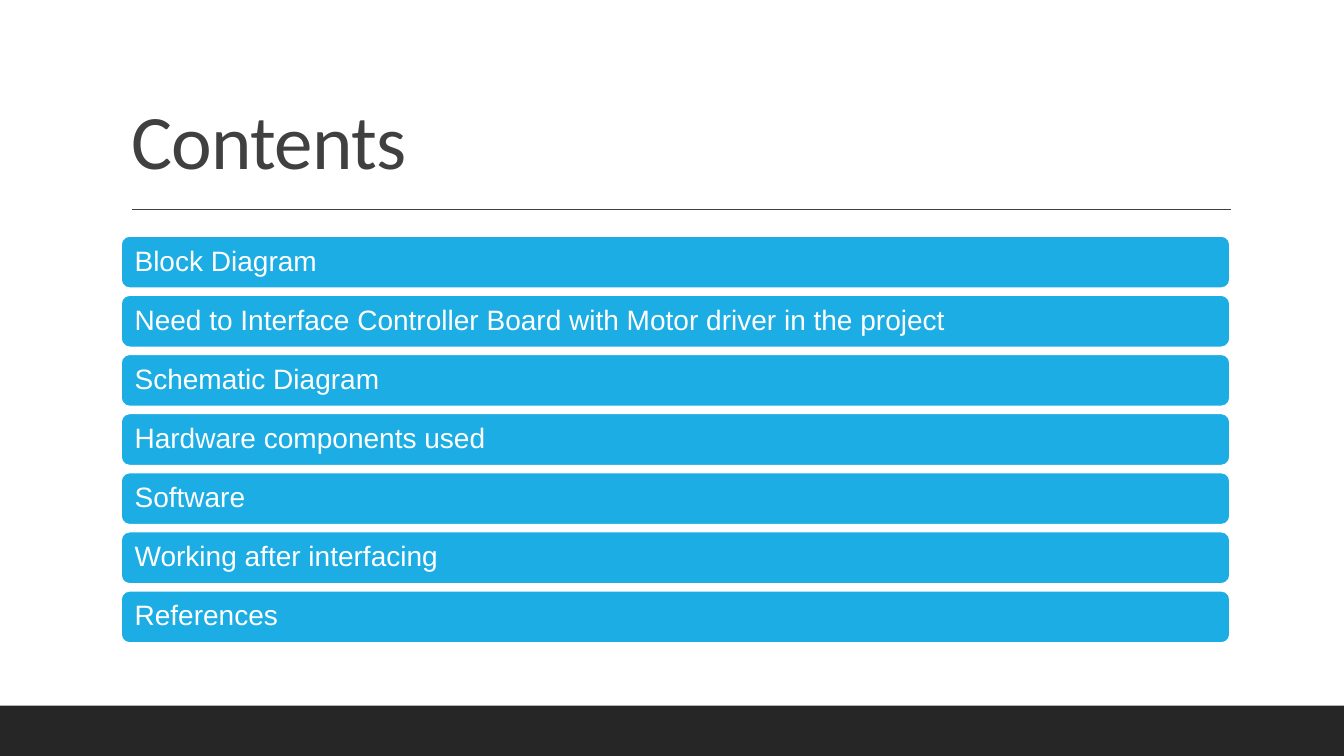
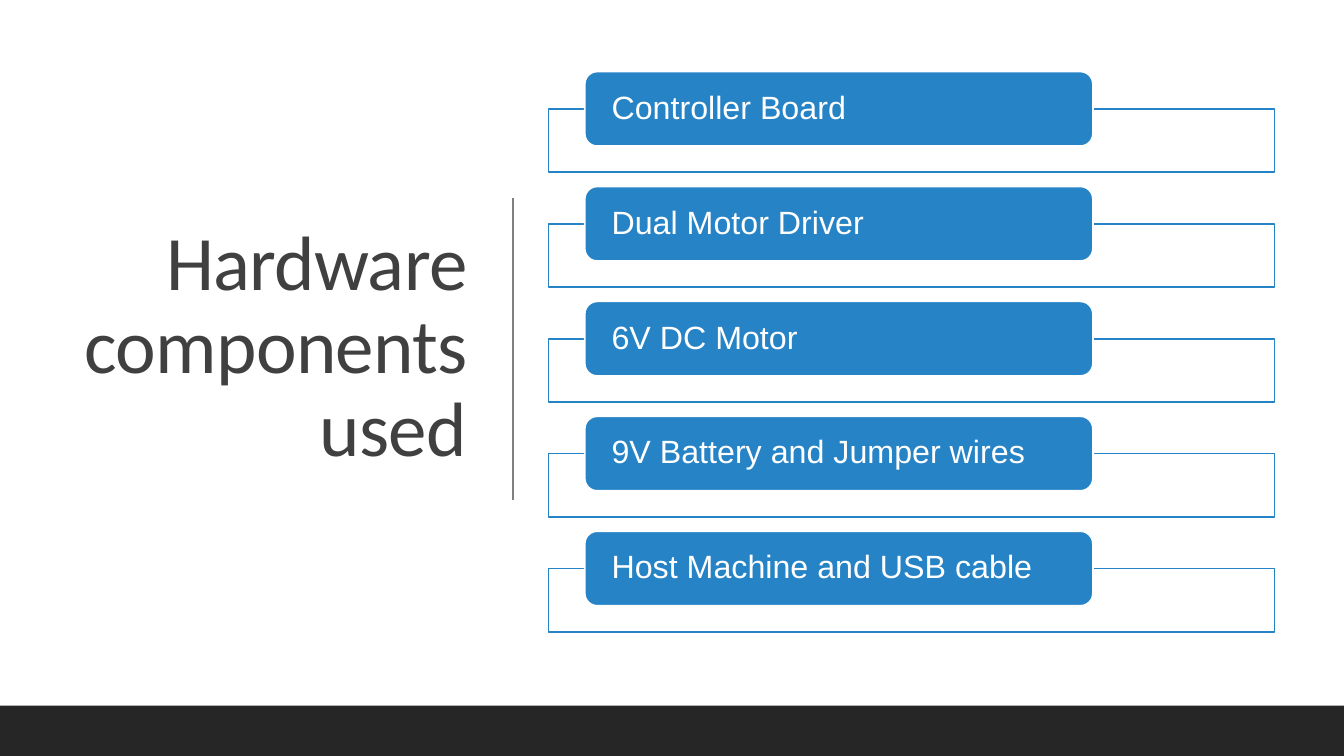
import pptx
import pptx.util
import pptx.dml.color
import pptx.enum.shapes
import pptx.enum.text
import pptx.oxml
import pptx.oxml.ns
from dataclasses import dataclass

Inches = pptx.util.Inches
Pt = pptx.util.Pt
SHAPE = pptx.enum.shapes.MSO_SHAPE
ANCHOR = pptx.enum.text.MSO_ANCHOR
ALIGN = pptx.enum.text.PP_ALIGN

# Content
CONTENTS_TITLE = "Contents"
CONTENTS = [
    "Block Diagram",
    "Need to Interface Controller Board with Motor driver in the project",
    "Schematic Diagram",
    "Hardware components used",
    "Software",
    "Working after interfacing",
    "References",
]
HARDWARE_TITLE = "Hardware components used"
HARDWARE = [
    "Controller Board",
    "Dual Motor Driver",
    "6V DC Motor",
    "9V Battery and Jumper wires",
    "Host Machine and USB cable",
]


@dataclass(frozen=True)
class Theme:
    white: str = "FFFFFF"
    band: str = "262626"
    title: str = "404040"
    divider: str = "808080"
    bar: str = "1CADE4"
    pill: str = "2683C6"
    title_font: str = "Calibri"
    body_font: str = "Arial"
    title_size: float = 55
    bar_size: float = 20
    pill_size: float = 23
    rule_width: float = 1
    outline_width: float = 1.25


T = Theme()
SLIDE_W, SLIDE_H, BAND_H = 13.33, 7.5, 0.5


def rgb(value):
    return pptx.dml.color.RGBColor.from_string(value)


# Shared building blocks
def format_text(tf, font, size, color, anchor, align=ALIGN.LEFT):
    tf.word_wrap = True
    tf.auto_size = pptx.enum.text.MSO_AUTO_SIZE.NONE
    tf.vertical_anchor = anchor
    p = tf.paragraphs[0]
    p.alignment = align
    p.line_spacing = 0.9
    for r in p.runs:
        r.font.name = font
        r.font.size = Pt(size)
        r.font.color.rgb = rgb(color)


def add_box(s, kind, box, fill, line=None):
    sp = s.shapes.add_shape(kind, *map(Inches, box))
    sp.shadow.inherit = False
    sp.fill.solid()
    sp.fill.fore_color.rgb = rgb(fill)
    if line:
        sp.line.color.rgb = rgb(line)
        sp.line.width = Pt(T.outline_width)
    else:
        sp.line.fill.background()
    return sp


def add_label(s, box, text, fill, size, inset):
    sp = add_box(s, SHAPE.ROUNDED_RECTANGLE, box, fill, T.white)
    tf = sp.text_frame
    tf.text = text
    tf.margin_left = tf.margin_right = Inches(inset)
    tf.margin_top = tf.margin_bottom = 0
    format_text(tf, T.body_font, size, T.white, ANCHOR.MIDDLE)


def add_rule(s, x1, y1, x2, y2, color):
    line = s.shapes.add_connector(
        pptx.enum.shapes.MSO_CONNECTOR.STRAIGHT, *map(Inches, (x1, y1, x2, y2)))
    line.line.color.rgb = rgb(color)
    line.line.width = Pt(T.rule_width)
    line._element.spPr.append(pptx.oxml.parse_xml(
        "<a:effectLst %s/>" % pptx.oxml.ns.nsdecls("a")))


def add_slide(prs, title, box, anchor, align):
    s = prs.slides.add_slide(prs.slide_layouts[5])
    add_box(s, SHAPE.RECTANGLE, (0, SLIDE_H - BAND_H, SLIDE_W, BAND_H), T.band)
    sp = s.shapes.title
    sp.left, sp.top, sp.width, sp.height = map(Inches, box)
    tf = sp.text_frame
    tf.text = title
    format_text(tf, T.title_font, T.title_size, T.title, anchor, align)
    for r in tf.paragraphs[0].runs:
        r.font._element.set("spc", "-50")
    return s


# Contents: a stack of full-width bars
def build_contents(prs):
    left, width = 1.2, 11
    first, last, height = 2.34, 5.86, 0.52
    s = add_slide(prs, CONTENTS_TITLE, (left, 0.31, width, 1.59),
                  ANCHOR.BOTTOM, ALIGN.LEFT)
    add_rule(s, 1.31, 2.08, 12.21, 2.08, T.title)
    pitch = (last - first) / (len(CONTENTS) - 1)
    for i, text in enumerate(CONTENTS):
        add_label(s, (left, first + i * pitch, width, height), text,
                  T.bar, T.bar_size, 0.11)


# Hardware: pills overlapping the top edge of outlined frames
def build_hardware(prs):
    s = add_slide(prs, HARDWARE_TITLE, (0.7, 0.69, 4.03, 5.53),
                  ANCHOR.MIDDLE, ALIGN.RIGHT)
    add_rule(s, 5.09, 1.96, 5.09, 4.96, T.divider)
    first, pitch, pill_h = 0.71, 1.14, 0.74
    for i, text in enumerate(HARDWARE):
        top = first + i * pitch
        add_box(s, SHAPE.RECTANGLE, (5.44, top + pill_h / 2, 7.2, 0.63),
                T.white, T.pill)
        add_label(s, (5.8, top, 5.04, pill_h), text, T.pill, T.pill_size, 0.23)


def main():
    prs = pptx.Presentation()
    prs.slide_width = Inches(SLIDE_W)
    prs.slide_height = Inches(SLIDE_H)
    build_contents(prs)
    build_hardware(prs)
    prs.save("out.pptx")


if __name__ == "__main__":
    main()
